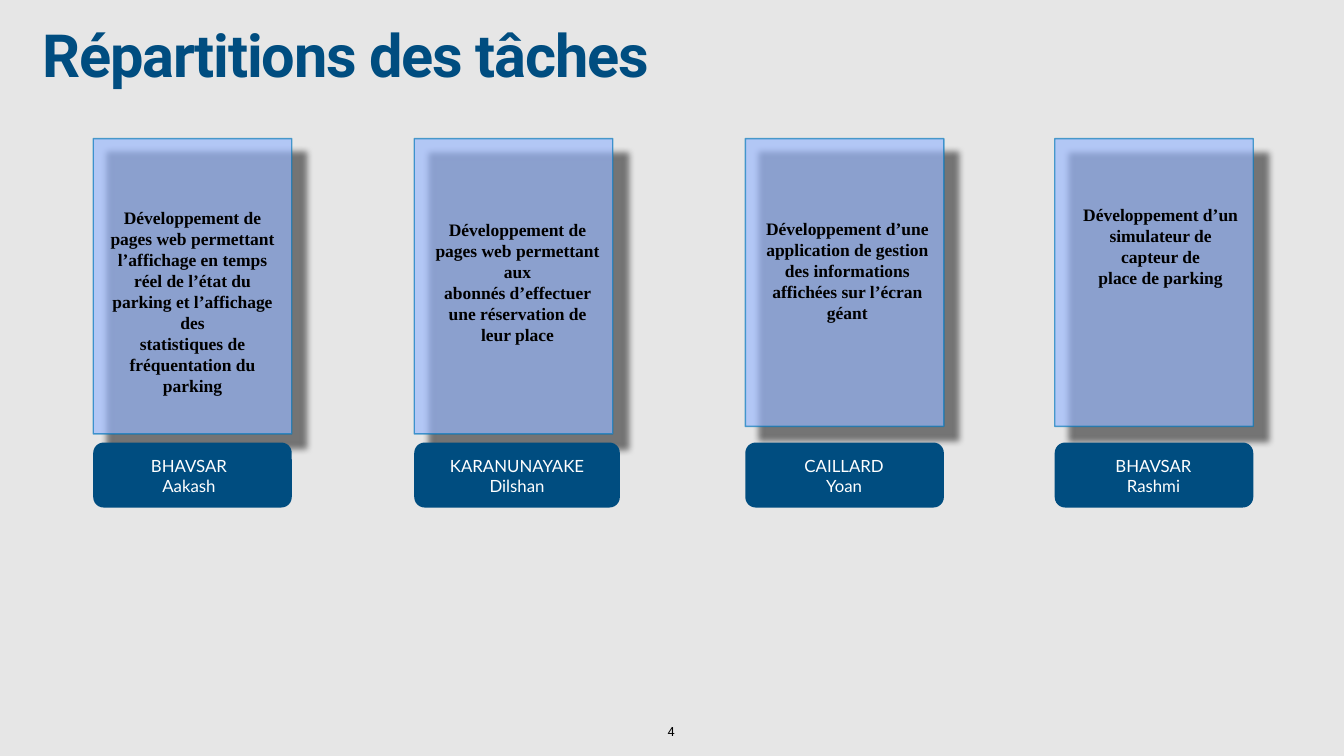
from dataclasses import dataclass

from lxml.etree import SubElement
from pptx import Presentation
from pptx.dml.color import RGBColor
from pptx.enum.shapes import MSO_SHAPE as SHAPE
from pptx.enum.text import MSO_ANCHOR as ANCHOR, PP_ALIGN as ALIGN
from pptx.oxml import parse_xml
from pptx.oxml.ns import nsdecls, qn
from pptx.util import Inches, Pt


@dataclass(frozen=True)
class Theme:
    """Colours and text styles of the deck."""
    background: str = "E6E6E6"
    navy: str = "004D80"
    card: str = "98B7FE"
    card_line: str = "0076BA"
    alpha: int = 66
    title = {"name": "Roboto", "size": Pt(85), "bold": True, "color": "004D80"}
    task = {"name": "Times New Roman", "size": Pt(25), "bold": True, "color": "000000"}
    member = {"name": "Lato", "size": Pt(24), "bold": False, "color": "FFFFFF"}
    number = {"name": "Roboto", "size": Pt(18), "bold": False, "color": "000000"}


THEME = Theme()
CARD_TOP, LABEL_TOP, LABEL_HEIGHT = 2.75, 8.78, 1.29

COLUMNS = [
    {"box": (1.85, CARD_TOP, 3.94, 5.86), "shadow": 28, "label_width": 3.94,
     "task_box": (0.18, 0.57, 3.58, 5.31), "member_box": (0.62, 2.56),
     "task": ["Développement de pages web permettant",
              "l’affichage en temps réel de l’état du parking et l’affichage des",
              "statistiques de fréquentation du parking"],
     "member": ["BHAVSAR Aakash"]},
    {"box": (8.22, CARD_TOP, 3.94, 5.86), "shadow": 30, "label_width": 4.08,
     "task_box": (0.3, 1.14, 3.5, 3.42), "member_box": (0.2, 3.68),
     "task": ["Développement de pages web permettant aux",
              "abonnés d’effectuer une réservation de leur place"],
     "member": ["KARANUNAYAKE Dilshan"]},
    {"box": (14.79, CARD_TOP, 3.94, 5.71), "shadow": 28, "label_width": 3.94,
     "task_box": (0.31, 1.14, 3.43, 2.94), "member_box": (0.68, 2.56),
     "task": ["Développement d’une application de gestion",
              "des informations affichées sur l’écran géant"],
     "member": ["CAILLARD", "Yoan"]},
    {"box": (20.93, CARD_TOP, 3.94, 5.71), "shadow": 30, "label_width": 3.94,
     "task_box": (0.46, 1.14, 3.28, 2), "member_box": (0.68, 2.56),
     "task": ["Développement d’un simulateur de capteur de", "place de parking"],
     "member": ["BHAVSAR Rashmi"]},
]


def add_text(slide, box, lines, style, align=ALIGN.CENTER, anchor=ANCHOR.MIDDLE, wrap=True):
    """Place a text box with one paragraph per line and return its frame."""
    tf = slide.shapes.add_textbox(*map(Inches, box)).text_frame
    frame = {"word_wrap": wrap, "vertical_anchor": anchor}
    frame.update({f"margin_{side}": Inches(0.06) for side in ("left", "top", "right", "bottom")})
    for key, value in frame.items():
        setattr(tf, key, value)
    for i, line in enumerate(lines):
        p = tf.paragraphs[0] if i == 0 else tf.add_paragraph()
        p.alignment = align
        r = p.add_run()
        r.text = line
        for key, value in style.items():
            if key == "color":
                r.font.color.rgb = RGBColor.from_string(value)
            else:
                setattr(r.font, key, value)
    return tf


def add_block(slide, kind, box, fill):
    """Place a filled shape without shadow or outline."""
    sp = slide.shapes.add_shape(kind, *map(Inches, box))
    sp.shadow.inherit = False
    sp.fill.solid()
    sp.fill.fore_color.rgb = RGBColor.from_string(fill)
    sp.line.fill.background()
    return sp


def add_title(slide, box, text):
    """Place the tightly set slide title."""
    tf = add_text(slide, box, [text], THEME.title, ALIGN.LEFT, ANCHOR.TOP)
    p = tf.paragraphs[0]
    p.line_spacing = 0.8
    p.runs[0].font._element.set("spc", "-170")


def add_card(slide, box, distance):
    """Place a translucent card with a drop shadow towards the lower right."""
    sp = add_block(slide, SHAPE.RECTANGLE, box, THEME.card)
    sp.line.color.rgb = RGBColor.from_string(THEME.card_line)
    sp.line.width = Pt(2)
    props = sp._element.spPr
    for color in list(props.iter(qn("a:srgbClr"))):
        SubElement(color, qn("a:alpha"), val=str(THEME.alpha * 1000))
    props.find(qn("a:effectLst")).append(parse_xml(
        f'<a:outerShdw {nsdecls("a")} blurRad="{Pt(10)}" dist="{Pt(distance)}" '
        'dir="2700000" algn="ctr" rotWithShape="0">'
        '<a:srgbClr val="000000"><a:alpha val="75000"/></a:srgbClr></a:outerShdw>'))


def add_column(slide, box, shadow, label_width, task_box, member_box, task, member):
    """Place one member's card, task and name label."""
    left, top = box[:2]
    add_card(slide, box, shadow)
    label = add_block(slide, SHAPE.ROUNDED_RECTANGLE,
                      (left, LABEL_TOP, label_width, LABEL_HEIGHT), THEME.navy)
    label.adjustments[0] = 0.16
    dx, dy, width, height = task_box
    add_text(slide, (left + dx, top + dy, width, height), task, THEME.task)
    dx, width = member_box
    add_text(slide, (left + dx, LABEL_TOP + 0.14, width, 1.03), member, THEME.member)


def main():
    """Build the task allocation slide."""
    prs = Presentation()
    prs.slide_width, prs.slide_height = Inches(26.67), Inches(15)
    slide = prs.slides.add_slide(prs.slide_layouts[6])
    slide.background.fill.solid()
    slide.background.fill.fore_color.rgb = RGBColor.from_string(THEME.background)
    add_title(slide, (0.78, 0.58, 24.03, 1.57), "Répartitions des tâches")
    for column in COLUMNS:
        add_column(slide, **column)
    add_text(slide, (13.19, 14.31, 0.26, 0.41), ["4"], THEME.number,
             anchor=ANCHOR.BOTTOM, wrap=False)
    prs.save("out.pptx")


if __name__ == "__main__":
    main()
